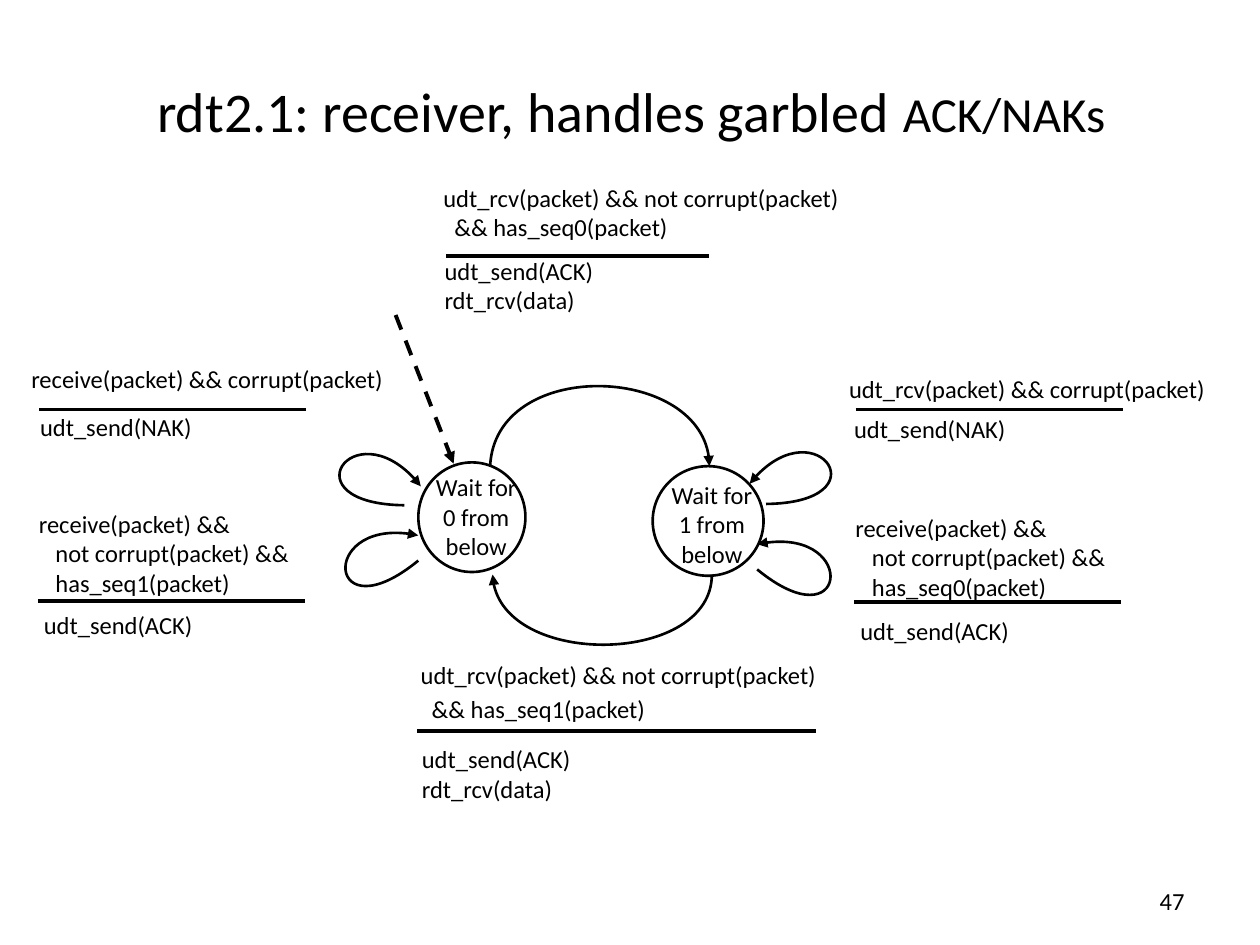
from lxml import etree
from pptx import Presentation
from pptx import util as u
from pptx.dml.color import RGBColor
from pptx.enum import dml, shapes, text
from pptx.oxml.ns import qn

INK = {"line": "000000", "text": "000000", "node": "FFFFFF"}
FONT = "Calibri"
COLS, ROWS = 100, 75
STEPS = 40

deck = Presentation()
deck.slide_width, deck.slide_height = u.Inches(10), u.Inches(7.5)


def col(n):
    return round(deck.slide_width * n / COLS)


def row(n):
    return round(deck.slide_height * n / ROWS)


def area(x, y, w, h):
    return col(x), row(y), col(w), row(h)


def color(key):
    return RGBColor.from_string(INK[key])


def style(font, size):
    font.name, font.size = FONT, u.Pt(size)
    font.color.rgb = color("text")


def write(parent, box, lines, align=text.PP_ALIGN.LEFT, indent=0, gap=0):
    """Add a text box; lines after the first are indented and spaced (points)."""
    frame = parent.add_textbox(*area(*box)).text_frame
    frame.word_wrap = True
    frame.text = "\n".join(lines)
    for i, para in enumerate(frame.paragraphs):
        para.alignment = align
        if i and indent:
            para._p.get_or_add_pPr().set("marL", str(u.Pt(indent)))
        if i and gap:
            para.space_before = u.Pt(gap)
        for run in para.runs:
            style(run.font, 14)
    return frame


def stroke(shape, width, head=None):
    """Ink an outline; head names the end ("headEnd" or "tailEnd") with an arrow."""
    shape.line.color.rgb = color("line")
    shape.line.width = u.Pt(width)
    if head:
        etree.SubElement(shape.line._get_or_add_ln(), qn("a:" + head), type="triangle")


def rule(slide, start, end, dash=False):
    line = slide.shapes.add_connector(
        shapes.MSO_CONNECTOR.STRAIGHT,
        col(start[0]), row(start[1]), col(end[0]), row(end[1]))
    if dash:
        line.line.dash_style = dml.MSO_LINE.DASH
    stroke(line, 2.25, "tailEnd" if dash else None)
    etree.SubElement(line._element.spPr, qn("a:effectLst"))


def curve(slide, ends, head="tailEnd"):
    """Draw one cubic curve from its start, two controls and end."""
    pts = [(col(x), row(y)) for x, y in ends]

    def at(t):
        s = 1 - t
        parts = (s ** 3, 3 * s * s * t, 3 * s * t * t, t ** 3)
        return tuple(round(sum(k * p[i] for k, p in zip(parts, pts))) for i in (0, 1))

    # Sampled points give the exact bounds; one true curve then replaces them.
    pen = slide.shapes.build_freeform(*pts[0])
    pen.add_line_segments([at(i / STEPS) for i in range(1, STEPS + 1)], close=False)
    shape = pen.convert_to_shape()
    track = shape._element.xpath(".//a:path")[0]
    for part in track.findall(qn("a:lnTo")):
        track.remove(part)
    bend = etree.SubElement(track, qn("a:cubicBezTo"))
    for x, y in pts[1:]:
        etree.SubElement(bend, qn("a:pt"), x=str(x - shape.left), y=str(y - shape.top))
    shape.fill.background()
    shape.shadow.inherit = False
    stroke(shape, 1.5, head)


def state(slide, box, lines, shift):
    """Draw a state circle, its label moved by shift."""
    x, y, w, h = box
    group = slide.shapes.add_group_shape()
    ring = group.shapes.add_shape(shapes.MSO_SHAPE.OVAL, *area(*box))
    ring.fill.solid()
    ring.fill.fore_color.rgb = color("node")
    ring.shadow.inherit = False
    stroke(ring, 1.5)
    write(group.shapes, (x + shift[0], y + shift[1], 8.8, 6.7), lines,
          text.PP_ALIGN.CENTER)


def label(slide, box, event, bar, act, action, indent=0, gap=0):
    """Write event over action; bar (dx, dy, length) and act (dx, dy) start at box."""
    x, y, w, h = box
    write(slide.shapes, box, event, indent=indent, gap=gap)
    left, top = x + bar[0], y + bar[1]
    rule(slide, (left, top), (left + bar[2], top))
    tall = 7.7 if len(action) > 1 else 4.5
    write(slide.shapes, (x + act[0], y + act[1], 33, tall), action)


def heading(slide, box):
    title = slide.shapes.title
    title.left, title.top, title.width, title.height = area(*box)
    frame = title.text_frame
    frame.vertical_anchor = text.MSO_ANCHOR.MIDDLE
    para = frame.paragraphs[0]
    para.alignment = text.PP_ALIGN.CENTER
    for words, size in (("rdt2.1: receiver, handles garbled ", 32), ("ACK/NAKs", 28)):
        run = para.add_run()
        run.text = words
        style(run.font, size)


def machine(slide):
    """Draw the two states and every transition between them."""
    state(slide, (33.2, 36.7, 8.5, 8.7), ["Wait for", "0 from below"], (0.2, 0.3))
    state(slide, (51.8, 37, 8.8, 8.7), ["Wait for", "1 from below"], (0.3, 0.6))
    rule(slide, (31.4, 25), (36, 36.8), dash=True)
    curve(slide, [(38.9, 37), (39.3, 28.4), (56.3, 28.9), (56.3, 37)])
    curve(slide, [(39.1, 45.6), (39.4, 53.1), (56.5, 52.7), (56.5, 45.6)], "headEnd")
    loops = (
        [(60.8, 40), (70.1, 39.9), (64.6, 32), (59.5, 38.4)],
        [(60.1, 45.2), (67.3, 51.1), (68.2, 41.5), (60.1, 43.2)],
        [(33.2, 44.5), (26, 50.4), (25.2, 40.8), (33.2, 42.5)],
        [(32.1, 40.1), (22.8, 40), (28.3, 32.1), (33.4, 38.6)],
    )
    for loop in loops:
        curve(slide, loop)


def labels(slide):
    nak, ack = ["udt_send(NAK)"], ["udt_send(ACK)"]
    good = "udt_rcv(packet) && not corrupt(packet)"
    deliver = ack + ["rdt_rcv(data)"]

    def repeat(seq):
        return ["receive(packet) &&", "not corrupt(packet) &&", f"has_seq{seq}(packet)"]

    label(slide, (34.2, 14, 43.5, 6.2), [good, "&& has_seq0(packet)"],
          (1.2, 6.3, 20.9), (0.1, 5.8), deliver, indent=6.3)
    label(slide, (32.4, 51.9, 39.2, 6.2), [good, "&& has_seq1(packet)"],
          (0.7, 6.1, 31.7), (0.1, 6.7), deliver, indent=6.3, gap=2.4)
    label(slide, (1.5, 28.4, 31.4, 6.7), ["receive(packet) && corrupt(packet)"],
          (1.6, 4.1, 21.2), (0.7, 3.8), nak)
    label(slide, (66.4, 29.2, 31.4, 6.7), ["udt_rcv(packet) && corrupt(packet)"],
          (1.5, 3.3, 21.2), (0.4, 3.2), nak)
    label(slide, (2.1, 39.9, 28.7, 6.7), repeat(1),
          (0.9, 7.8, 21.2), (0.4, 8), ack, indent=9.5)
    label(slide, (66.9, 40.2, 28.7, 6.7), repeat(0),
          (0.9, 7.6, 21.2), (0.4, 8.2), ack, indent=9.5)


def main():
    slide = deck.slides.add_slide(deck.slide_layouts[5])
    heading(slide, (4.6, 2.5, 91, 12.5))
    machine(slide)
    labels(slide)
    page = write(slide.shapes, (71.7, 69.5, 23.3, 4), ["47"], text.PP_ALIGN.RIGHT)
    page.vertical_anchor = text.MSO_ANCHOR.MIDDLE
    deck.save("out.pptx")


if __name__ == "__main__":
    main()
